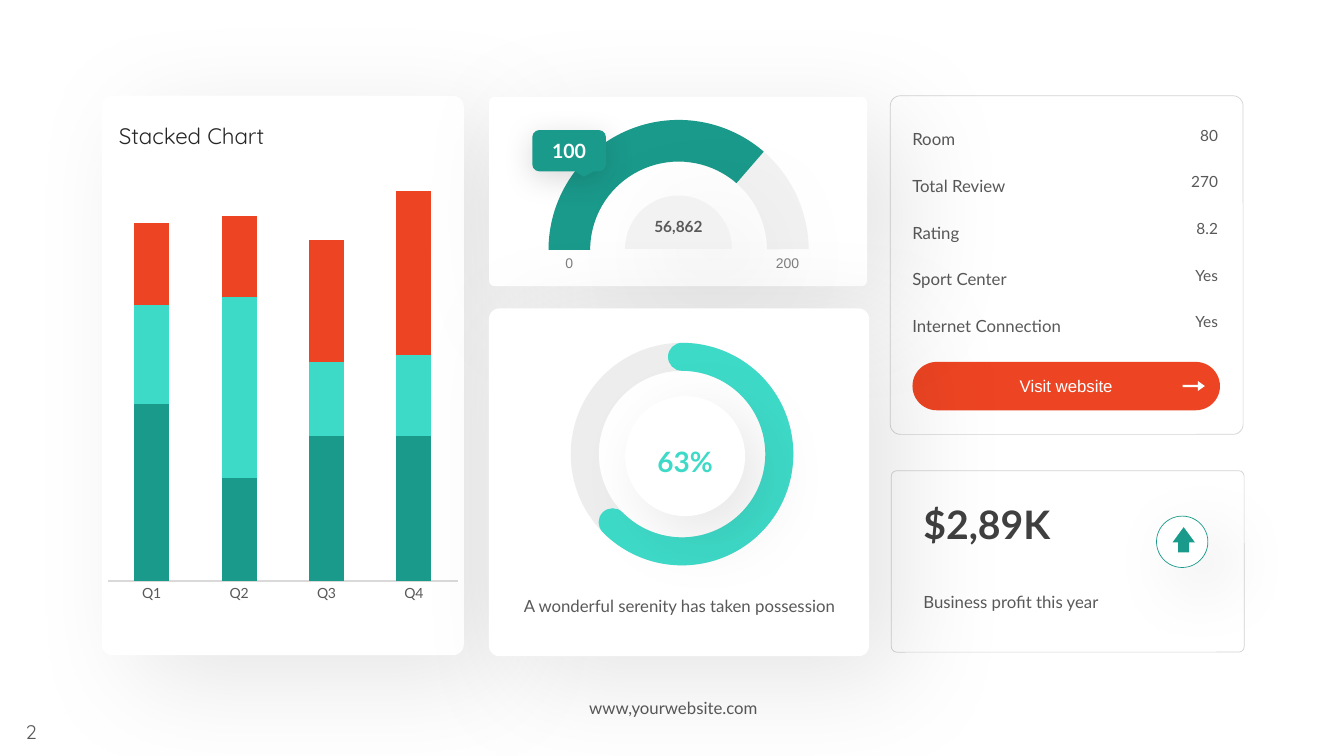
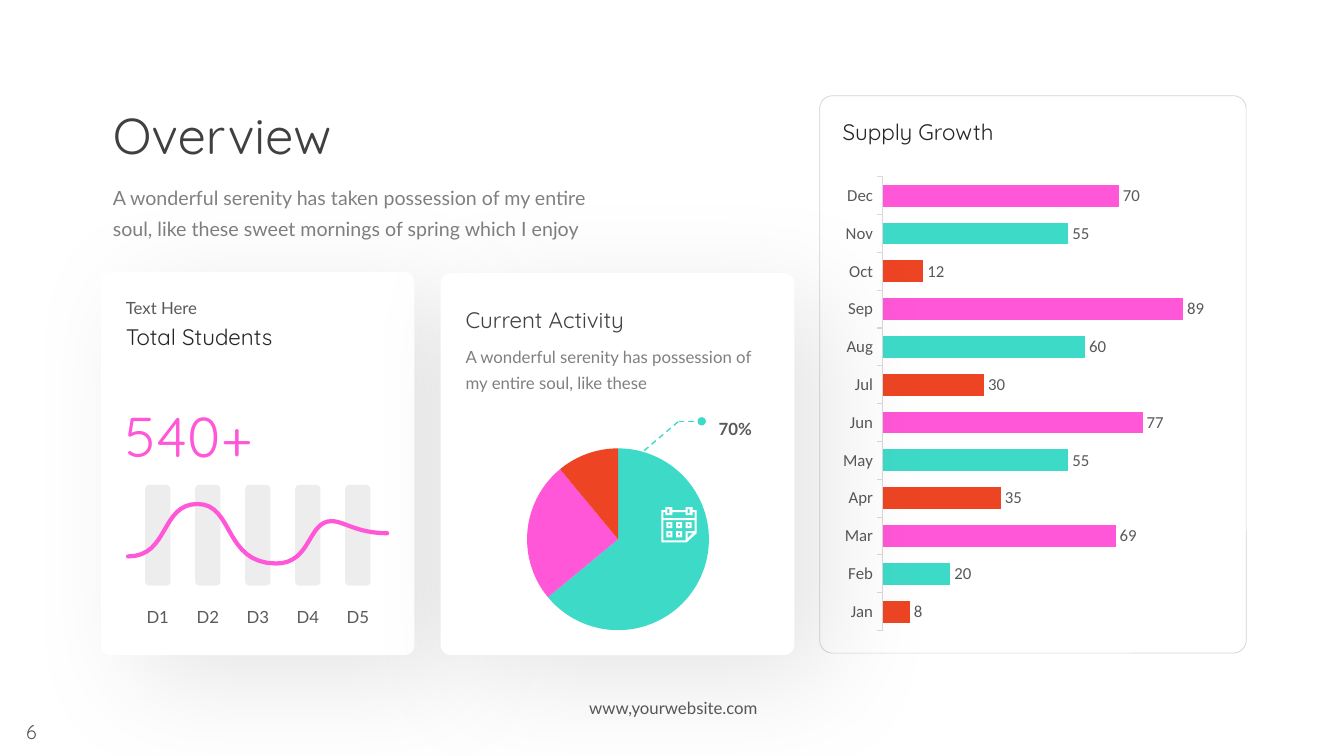
import pptx
import pptx.chart.data
import pptx.dml.color
import pptx.enum.chart
import pptx.enum.dml
import pptx.enum.shapes
import pptx.enum.text
import pptx.oxml
import pptx.oxml.ns
import pptx.util

RGBColor = pptx.dml.color.RGBColor
MSO_SHAPE = pptx.enum.shapes.MSO_SHAPE
XL = pptx.enum.chart.XL_CHART_TYPE
ALIGN = pptx.enum.text.PP_ALIGN
ANCHOR = pptx.enum.text.MSO_ANCHOR
Pt = pptx.util.Pt
qn = pptx.oxml.ns.qn

WHITE = RGBColor(0xFF, 0xFF, 0xFF)
BLACK = RGBColor(0x00, 0x00, 0x00)
INK = RGBColor(0x26, 0x26, 0x26)
DARK = RGBColor(0x40, 0x40, 0x40)
TEXT = RGBColor(0x59, 0x59, 0x59)
MUTED = RGBColor(0x80, 0x80, 0x80)
GREY = RGBColor(0xA6, 0xA6, 0xA6)
AXIS = RGBColor(0xD9, 0xD9, 0xD9)
PALE = RGBColor(0xF2, 0xF2, 0xF2)
TEAL = RGBColor(0x1A, 0x9A, 0x8B)
AQUA = RGBColor(0x3E, 0xDA, 0xC8)
ORANGE = RGBColor(0xED, 0x45, 0x23)
PINK = RGBColor(0xFF, 0x57, 0xD7)

# Shadows: opacity in percent, blur and distance in points, direction in degrees
CARD_SHADOW = (10, 80, 30, 35)
DISC_SHADOW = (10, 50, 20, 45)
TAG_SHADOW = (15, 22, 5, 90)

CELL = pptx.util.Inches(0.1)  # square grid: 133.3 columns by 75 rows


def grid(*cells):
    return [round(n * CELL) for n in cells]


def angle(degrees):
    """Degrees as the adjustment value of an arc-like shape."""
    return degrees * 0.6


def child(parent, tag, **attributes):
    e = pptx.oxml.parse_xml(f'<a:{tag} {pptx.oxml.ns.nsdecls("a")}/>')
    for name, value in attributes.items():
        e.set(name, str(value))
    parent.append(e)
    return e


def set_opacity(fill_parent, percent):
    child(fill_parent.find(".//" + qn("a:srgbClr")), "alpha", val=percent * 1000)


def write(tf, text, size=12, color=TEXT, font="Lato", bold=False, align=ALIGN.LEFT,
          spacing=None, after=0, anchor=ANCHOR.TOP):
    tf.word_wrap = True
    tf.auto_size = pptx.enum.text.MSO_AUTO_SIZE.NONE
    tf.vertical_anchor = anchor
    p = tf.paragraphs[0]
    p.alignment, p.line_spacing, p.space_after = align, spacing, Pt(after)
    r = p.add_run()
    r.text = text
    r.font.size, r.font.name, r.font.bold = Pt(size), font, bold
    r.font.color.rgb = color


def rect(x, y, w, h):
    return [(x, y), (x + w, y), (x + w, y + h), (x, y + h)]


def bezier(start, c1, c2, end, steps=16):
    """Points of a cubic curve, without its start."""
    for i in range(1, steps + 1):
        t = i / steps
        weights = ((1 - t) ** 3, 3 * t * (1 - t) ** 2, 3 * t * t * (1 - t), t ** 3)
        yield tuple(sum(k * pt[axis] for k, pt in zip(weights, (start, c1, c2, end)))
                    for axis in (0, 1))


class Deck:
    def __init__(self):
        self.prs = pptx.Presentation()
        self.prs.slide_width, self.prs.slide_height = grid(133.3, 75)

    def new_slide(self, number, title=None):
        layout = self.prs.slide_layouts[5 if title else 6]
        self.s = self.prs.slides.add_slide(layout)
        if title:
            sp = self.s.shapes.title
            sp.left, sp.top, sp.width, sp.height = grid(10.2, 9.8, 51.9, 7.2)
            write(sp.text_frame, title, size=36, color=DARK, font="Quicksand")
        self.text(number, (0, 70.9, 6.2, 3.4), size=14, font="Quicksand", align=ALIGN.CENTER)
        self.text("www,yourwebsite.com", (54.6, 68.7, 24.4, 3), align=ALIGN.CENTER)

    def text(self, text, box, **style):
        sp = self.s.shapes.add_textbox(*grid(*box))
        write(sp.text_frame, text, **style)

    def body(self, text, box, **style):
        self.text(text, box, **{"spacing": 1.3, "after": 6, **style})

    def heading(self, text, box, color=INK):
        self.body(text, box, size=16, font="Quicksand", color=color)

    def paint(self, sp, fill=None, fill_opacity=None, line=None, width=0.5,
              line_opacity=None, shadow=None, round_cap=False):
        sp.shadow.inherit = False
        spPr = sp.element.spPr
        if fill is None:
            sp.fill.background()
        else:
            sp.fill.solid()
            sp.fill.fore_color.rgb = fill
            if fill_opacity:
                set_opacity(spPr.find(qn("a:solidFill")), fill_opacity)
        if line is None:
            sp.line.fill.background()
        else:
            sp.line.color.rgb = line
            sp.line.width = Pt(width)
            ln = spPr.find(qn("a:ln"))
            if line_opacity:
                set_opacity(ln, line_opacity)
            if round_cap:
                ln.set("cap", "rnd")
        if shadow:
            opacity, blur, distance, direction = shadow
            outer = child(spPr.find(qn("a:effectLst")), "outerShdw", blurRad=Pt(blur),
                          dist=Pt(distance), dir=direction * 60000, algn="ctr", rotWithShape=0)
            color = child(outer, "srgbClr", val=BLACK)
            child(color, "alpha", val=opacity * 1000)

    def shape(self, kind, box, adj=(), **style):
        sp = self.s.shapes.add_shape(kind, *grid(*box))
        for i, value in enumerate(adj):
            sp.adjustments[i] = value
        self.paint(sp, **style)
        return sp

    def raised_card(self, *box, radius=0.03):
        self.shape(MSO_SHAPE.ROUNDED_RECTANGLE, box, [radius], fill=WHITE, shadow=CARD_SHADOW)

    def outlined_card(self, *box, radius=0.03):
        self.shape(MSO_SHAPE.ROUNDED_RECTANGLE, box, [radius], line=GREY, line_opacity=50)

    def outline(self, contours, close=True, **style):
        builder = None
        for points in contours:
            first, *rest = [grid(*pt) for pt in points]
            if builder is None:
                builder = self.s.shapes.build_freeform(*first, scale=1.0)
            else:
                builder.move_to(*first)
            builder.add_line_segments(rest, close=close)
        self.paint(builder.convert_to_shape(), **style)

    def dashed_line(self, start, end, dot=False):
        cx = self.s.shapes.add_connector(pptx.enum.shapes.MSO_CONNECTOR.STRAIGHT,
                                         *grid(*start, *end))
        cx.line.color.rgb = AQUA
        cx.line.width = Pt(1)
        cx.line.dash_style = pptx.enum.dml.MSO_LINE.DASH
        spPr = cx.element.spPr
        if dot:
            child(spPr.find(qn("a:ln")), "tailEnd", type="oval")
        child(spPr, "effectLst")

    def chart(self, kind, box, categories, series, plot_area, size=10, font="Lato", color=TEXT):
        """Add a chart whose inner plot area is given as shares of its frame."""
        data = pptx.chart.data.CategoryChartData()
        data.categories = categories
        for name, values in series.items():
            data.add_series(name, values)
        chart = self.s.shapes.add_chart(kind, *grid(*box), data).chart
        chart.has_title = chart.has_legend = False
        chart.font.size, chart.font.name, chart.font.color.rgb = Pt(size), font, color
        area = chart.element.find(".//" + qn("c:plotArea"))
        for old in area.findall(qn("c:layout")):
            area.remove(old)
        parts = "".join(f'<c:{tag}Mode val="edge"/>' for tag in "xy")
        parts += "".join(f'<c:{tag} val="{share}"/>' for tag, share in zip("xywh", plot_area))
        area.insert(0, pptx.oxml.parse_xml(
            f'<c:layout {pptx.oxml.ns.nsdecls("c")}><c:manualLayout>'
            f'<c:layoutTarget val="inner"/>{parts}</c:manualLayout></c:layout>'))
        return chart

    def bar_axes(self, chart, top, gap, tick):
        chart.value_axis.visible = False
        chart.value_axis.has_major_gridlines = False
        chart.value_axis.minimum_scale, chart.value_axis.maximum_scale = 0, top
        axis = chart.category_axis
        axis.major_tick_mark = tick
        axis.format.line.color.rgb = AXIS
        axis.format.line.width = Pt(0.75)
        chart.plots[0].gap_width = gap
        chart.plots[0].vary_by_categories = False

    def color_points(self, chart, colors):
        series = chart.plots[0].series[0]
        for i in range(len(series.values)):
            fill = series.points[i].format.fill
            fill.solid()
            fill.fore_color.rgb = colors[i % len(colors)]


def dashboard(deck):
    tick = pptx.enum.chart.XL_TICK_MARK
    deck.new_slide("2")

    deck.outlined_card(88.3, 9.5, 35, 33.6)
    facts = [("Room", "80"), ("Total Review", "270"), ("Rating", "8.2"),
             ("Sport Center", "Yes"), ("Internet Connection", "Yes")]
    for i, (label, value) in enumerate(facts):
        y = 11.9 + 4.63 * i
        deck.text(value, (115.8, y + 0.1, 6, 2.9), size=11, align=ALIGN.RIGHT)
        deck.text(label, (89.5, y, 20.6, 3.2), spacing=1.2)
    button = deck.shape(MSO_SHAPE.ROUNDED_RECTANGLE, (90.5, 35.9, 30.5, 4.8), [0.5], fill=ORANGE)
    write(button.text_frame, "Visit website", font="Arial", color=WHITE,
          align=ALIGN.CENTER, anchor=ANCHOR.MIDDLE)
    deck.shape(MSO_SHAPE.RIGHT_ARROW, (117.3, 37.8, 2.2, 1), [0.2, 0.7], fill=WHITE)

    deck.raised_card(10.1, 9.5, 35.9, 55.5)
    deck.heading("Stacked Chart", (10.8, 10.8, 23.9, 4.2))
    chart = deck.chart(XL.COLUMN_STACKED, (9.2, 16.8, 37.7, 47.5), ["Q1", "Q2", "Q3", "Q4"],
                       {"Series 1": [98, 57, 80, 80], "Series 2": [55, 100, 41, 45],
                        "Series 3": [45, 45, 68, 91]}, (0.04, 0, 0.92, 0.86))
    deck.bar_axes(chart, top=228, gap=150, tick=tick.NONE)
    chart.plots[0].overlap = 100
    for series, color in zip(chart.plots[0].series, (TEAL, AQUA, ORANGE)):
        series.format.fill.solid()
        series.format.fill.fore_color.rgb = color

    deck.raised_card(48.5, 9.6, 37.5, 18.8)
    for end, color in ((359.6, PALE), (310.9, TEAL)):
        deck.shape(MSO_SHAPE.BLOCK_ARC, (54.4, 11.9, 25.8, 25.8),
                   [angle(180), angle(end), 0.16], fill=color)
    deck.shape(MSO_SHAPE.PIE, (62, 19.4, 10.6, 10.6), [angle(180), angle(0)],
               fill=PALE, shadow=CARD_SHADOW)
    for label, x, w in (("200", 73.3, 9.6), ("0", 54.7, 3.5)):
        deck.body(label, (x, 24.3, w, 3.1), size=10, font="Arial", color=MUTED,
                  align=ALIGN.CENTER)
    deck.text("56,862", (62, 21, 10.6, 2.9), size=11, bold=True, align=ALIGN.CENTER,
              anchor=ANCHOR.MIDDLE)
    tag = deck.shape(MSO_SHAPE.ROUNDED_RECTANGULAR_CALLOUT, (52.8, 12.9, 7.3, 4.1),
                     [0.2, 0.63, 0.17], fill=TEAL, shadow=TAG_SHADOW)
    write(tag.text_frame, "100", size=14, color=WHITE, bold=True, align=ALIGN.CENTER,
          anchor=ANCHOR.MIDDLE)

    deck.outlined_card(88.4, 46.7, 35, 18)
    deck.text("$2,89K", (90.6, 49.1, 31.8, 5.7), size=28, color=DARK, bold=True)
    deck.text("Business profit this year", (90.6, 58.2, 31.8, 3))
    deck.shape(MSO_SHAPE.OVAL, (114.7, 51.2, 5.1, 5.1), fill=WHITE, line=TEAL,
               shadow=DISC_SHADOW)
    deck.shape(MSO_SHAPE.UP_ARROW, (116.3, 52.3, 2.2, 2.5), [0.5, 0.68], fill=TEAL)

    deck.raised_card(48.5, 30.6, 37.7, 34.5)
    ring = (58, 35.4, 19.3, 19.3)
    deck.shape(MSO_SHAPE.OVAL, ring, line=GREY, width=20, line_opacity=20)
    deck.shape(MSO_SHAPE.ARC, ring, [angle(270), angle(135.5)], line=AQUA, width=20,
               round_cap=True)
    disc = deck.shape(MSO_SHAPE.OVAL, (62, 39.3, 11.9, 11.9), fill=WHITE, shadow=DISC_SHADOW)
    write(disc.text_frame, "63%", size=20, color=AQUA, bold=True, align=ALIGN.CENTER,
          spacing=1.3, after=6, anchor=ANCHOR.MIDDLE)
    deck.body("A wonderful serenity has taken possession", (50.5, 58, 33.8, 3.3),
              align=ALIGN.CENTER)


def calendar(x, y, unit=0.1):
    """Contours of a calendar icon; inner ones are holes."""
    contours = [
        [(4, 0), (11, 0), (11, 3), (24, 3), (24, 0), (31, 0), (31, 3), (35, 3), (35, 26),
         (25, 35), (0, 35), (0, 3), (4, 3)],
        [(2, 13), (2, 33), (24, 33), (24, 24), (33, 24), (33, 13)],
        [(2, 5), (2, 11), (33, 11), (33, 5), (31, 5), (31, 8), (24, 8), (24, 5), (11, 5),
         (11, 8), (4, 8), (4, 5)],
        [(26, 26), (26, 31), (31, 26)],
        rect(6, 2, 2, 4), rect(26, 2, 2, 4)]
    for row, days in enumerate((3, 2)):
        for col in range(days):
            left, top = 5 + 9.5 * col, 15 + 9 * row
            contours += [rect(left, top, 6, 6), rect(left + 2, top + 2, 2, 2)]
    return [[(x + px * unit, y + py * unit) for px, py in points] for points in contours]


def overview(deck):
    deck.new_slide("6", title="Overview")
    deck.body("A wonderful serenity has taken possession of my entire soul, like these "
              "sweet mornings of spring which I enjoy", (10.2, 17.3, 51.9, 6.8),
              size=14, color=MUTED)
    deck.outlined_card(81.3, 9.5, 42.3, 55.3)

    deck.raised_card(10, 27, 31.1, 38)
    deck.heading("Total Students", (11.5, 30.8, 28, 4.2))
    deck.body("Text Here", (11.5, 28.4, 28, 3.4))
    for i in range(5):
        x = 14.4 + 4.96 * i
        deck.shape(MSO_SHAPE.ROUNDED_RECTANGLE, (x, 48.1, 2.5, 10), fill=GREY, fill_opacity=20)
        deck.body(f"D{i + 1}", (x - 2.55, 59.1, 7.6, 3.4), align=ALIGN.CENTER)
    wave = [(12.7, 55.2)]
    for curve in (((16.8, 55.2), (15.9, 50), (19.6, 50)),
                  ((23.2, 50), (22.2, 55.9), (27.4, 55.9)),
                  ((30.9, 55.9), (30.5, 51.7), (32.9, 51.7)),
                  ((34.1, 51.7), (35.4, 52.9), (38.4, 52.9))):
        wave += bezier(wave[-1], *curve)
    deck.outline([wave], close=False, line=PINK, width=3, round_cap=True)
    deck.body("540+", (11.5, 37.3, 28.2, 8.9), size=40, font="Quicksand", color=PINK)

    months = ["Jan", "Feb", "Mar", "Apr", "May", "Jun",
              "Jul", "Aug", "Sep", "Oct", "Nov", "Dec"]
    chart = deck.chart(XL.BAR_CLUSTERED, (82.9, 16.6, 38.9, 46.9), months,
                       {"Series 1": [8, 20, 69, 35, 55, 77, 30, 60, 89, 12, 55, 70]},
                       (0.12, 0.02, 0.86, 0.96), size=12, font="Calibri")
    deck.bar_axes(chart, top=100, gap=73, tick=pptx.enum.chart.XL_TICK_MARK.OUTSIDE)
    deck.color_points(chart, (ORANGE, AQUA, PINK))
    labels = chart.plots[0].series[0].data_labels
    labels.show_value = True
    labels.position = pptx.enum.chart.XL_LABEL_POSITION.OUTSIDE_END
    deck.heading("Supply Growth", (82.6, 10.4, 18.6, 4.2))

    deck.raised_card(43.7, 27.1, 35.1, 37.9)
    pie = deck.chart(XL.PIE, (45.5, 43.9, 31.6, 19.4), ["1", "2", "3"],
                     {"Series 1": [64, 25, 11]}, (0, 0.03, 1, 0.93), color=BLACK)
    deck.color_points(pie, (AQUA, PINK, ORANGE))
    deck.heading("Current Activity", (45.2, 29.1, 32.2, 4.2), color=DARK)
    deck.body("A wonderful serenity has possession of my entire soul, like these",
              (45.2, 33.3, 32.2, 5.8), color=MUTED)
    deck.dashed_line((67.3, 41.8), (69.6, 41.8), dot=True)
    deck.dashed_line((63.9, 44.7), (67.3, 41.8))
    deck.body("70%", (70.3, 40.5, 6.1, 3.3), bold=True)
    deck.outline(calendar(65.6, 50.3), fill=WHITE)


def main():
    deck = Deck()
    dashboard(deck)
    overview(deck)
    deck.prs.save("out.pptx")


if __name__ == "__main__":
    main()
